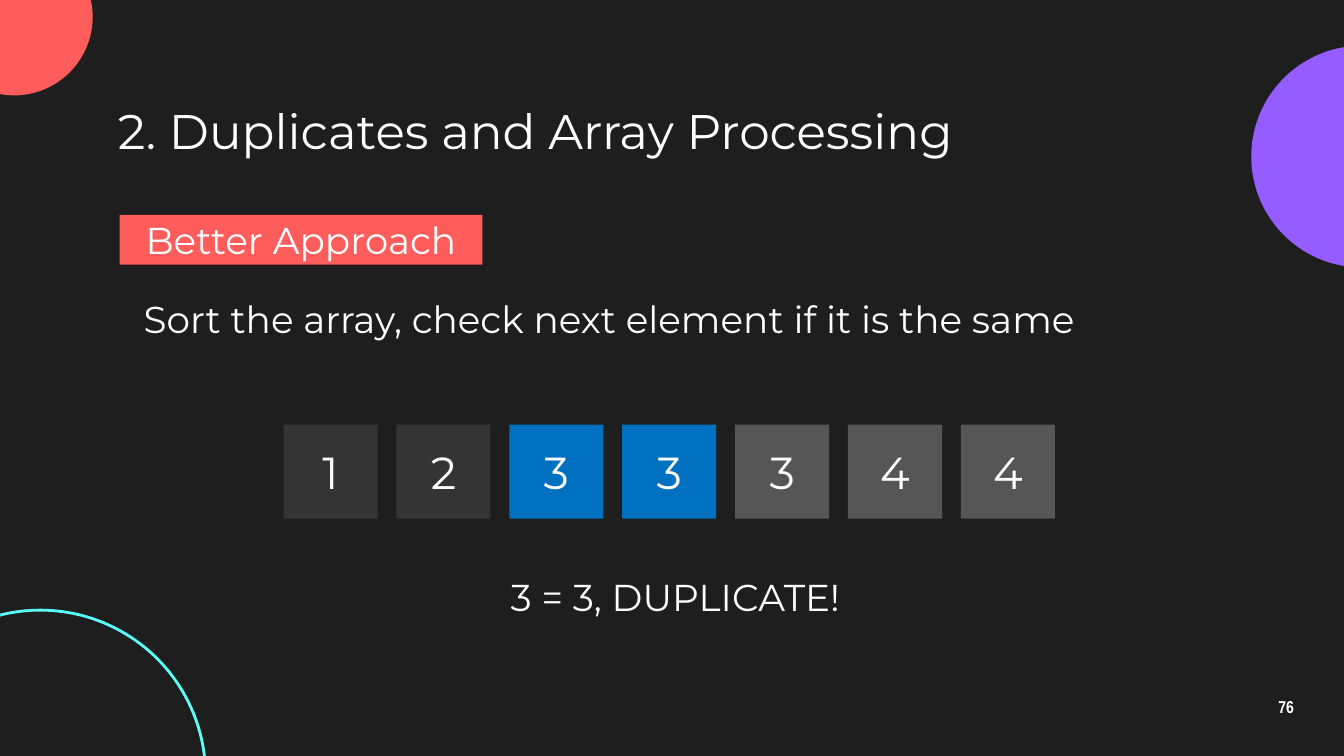
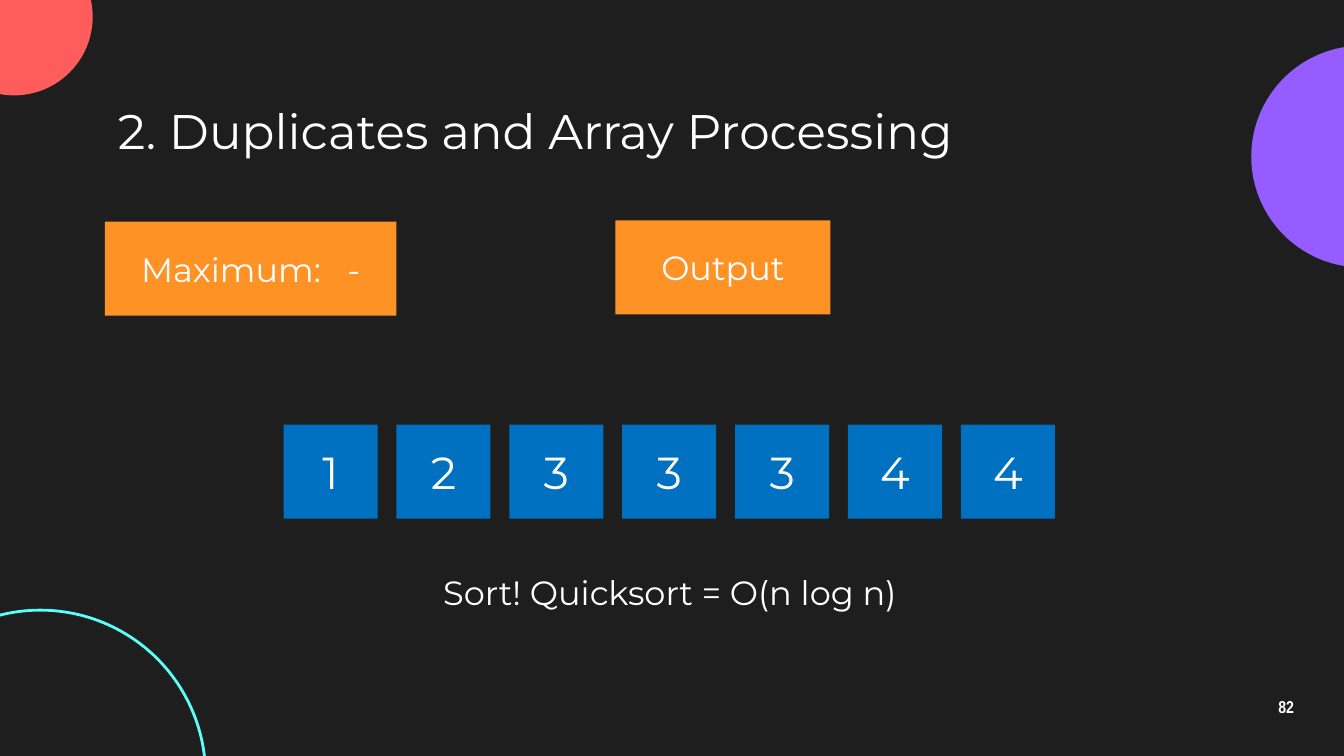
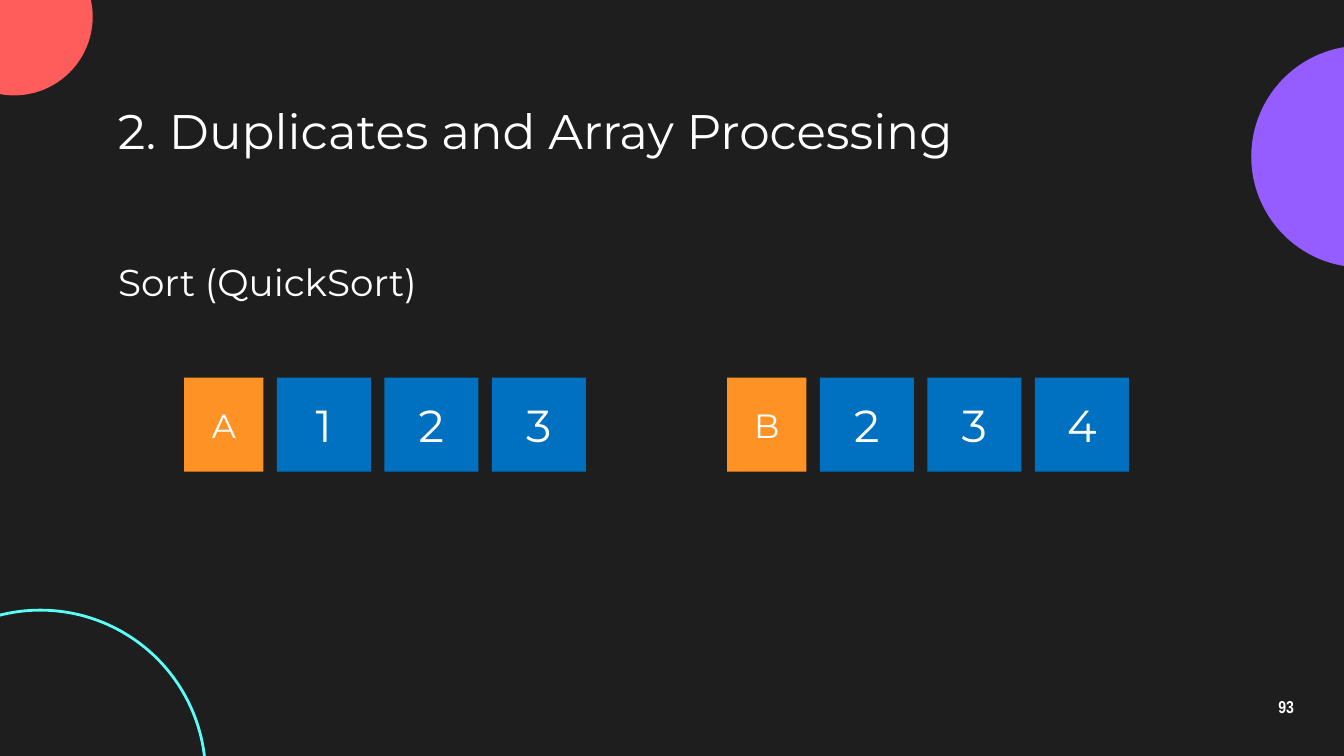
from pptx import Presentation
from pptx.dml.color import RGBColor
from pptx.enum.shapes import MSO_SHAPE
from pptx.enum.text import MSO_ANCHOR, PP_ALIGN
from pptx.util import Emu, Pt

SCALE = 9144
BACK, WHITE = "1E1E1E", "FFFFFF"
CORAL, VIOLET, AQUA = "FF5C5C", "955CFF", "5CFFF8"
BLUE, ORANGE, DARK, GREY = "0070C0", "FF9225", "343434", "565656"
SANS, NARROW = "Montserrat", "Arial Narrow"
LEFT, MID = PP_ALIGN.LEFT, PP_ALIGN.CENTER
TITLE = "2. Duplicates and Array Processing"
CELL = 70
ITEMS = "1233344"


def px(*sizes):
    return [Emu(size * SCALE) for size in sizes]


def color(code):
    return RGBColor.from_string(code)


def write(shape, runs, size, align=MID, font=SANS, bold=False, inset=5, anchor=MSO_ANCHOR.MIDDLE):
    frame = shape.text_frame
    frame.word_wrap = True
    frame.vertical_anchor = anchor
    frame.margin_left, frame.margin_right = px(10, 10)
    frame.margin_top, frame.margin_bottom = px(inset, inset)
    para = frame.paragraphs[0]
    para.alignment = align
    for text, space in runs:
        run = para.add_run()
        run.text = text
        run.font.size = Pt(size)
        run.font.name = font
        run.font.bold = bold
        run.font.color.rgb = color(WHITE)
        if space:
            run._r.get_or_add_rPr().set("spc", str(space))
    return para


def draw(slide, kind, box, fill=None, line=None):
    shape = slide.shapes.add_shape(kind, *px(*box))
    shape.shadow.inherit = False
    if fill:
        shape.fill.solid()
        shape.fill.fore_color.rgb = color(fill)
    else:
        shape.fill.background()
    if line:
        shape.line.color.rgb = color(line)
        shape.line.width = Pt(1.5)
    else:
        shape.line.fill.background()
    return shape


def block(slide, box, runs, size, fill):
    write(draw(slide, MSO_SHAPE.RECTANGLE, box, fill), runs, size)


def label(slide, box, text, size=20, align=LEFT, inset=10, anchor=MSO_ANCHOR.TOP, **style):
    shape = slide.shapes.add_textbox(*px(*box))
    return write(shape, [(text, 0)], size, align, inset=inset, anchor=anchor, **style)


def cells(slide, left, top, items, fills, step):
    for i, (item, fill) in enumerate(zip(items, fills)):
        block(slide, (left + i * step, top, CELL, CELL), [(item, 0)], 24, fill)


def group(slide, left, top, name, items):
    width, gap = 59, 10
    block(slide, (left, top, width, CELL), [(name, 0)], 18, ORANGE)
    cells(slide, left + width + gap, top, items, [BLUE] * len(items), CELL + gap)


def base(deck, number):
    slide = deck.slides.add_slide(deck.slide_layouts[6])
    for left, top, side, fill, line in [
        (931, 34, 165, VIOLET, None),
        (-48, -46, 117, CORAL, None),
        (-93, 454, 246, None, AQUA),
    ]:
        draw(slide, MSO_SHAPE.OVAL, (left, top, side, side), fill, line)
    para = label(slide, (927, 510, 60, 34), number, 9.2, MID,
                 anchor=MSO_ANCHOR.MIDDLE, font=NARROW, bold=True)
    para.line_spacing = 0.9
    label(slide, (78, 71, 844, 51), TITLE, 26, anchor=MSO_ANCHOR.MIDDLE)
    return slide


def better(deck):
    slide = base(deck, "76")
    block(slide, (89, 160, 270, 37), [("Better Approach", 0)], 20, CORAL)
    label(slide, (97, 210, 811, 51), "Sort the array, check next element if it is the same")
    fills = [DARK] * 2 + [BLUE] * 2 + [GREY] * 3
    cells(slide, 211, 316, ITEMS, fills, 84)
    label(slide, (97, 417, 811, 51), "3 = 3, DUPLICATE!", align=MID)


def output(deck):
    slide = base(deck, "82")
    cells(slide, 211, 316, ITEMS, [BLUE] * len(ITEMS), 84)
    block(slide, (78, 165, 217, CELL), [("Maximum:", 0), (" ", 940), ("-", 0)], 18, ORANGE)
    block(slide, (458, 164, 160, CELL), [("Output", 0)], 18, ORANGE)
    label(slide, (248, 421, 501, 40), "Sort! Quicksort = O(n log n)", 18, MID, inset=5)


def arrays(deck):
    slide = base(deck, "93")
    group(slide, 137, 281, "A", "123")
    group(slide, 541, 281, "B", "234")
    label(slide, (78, 183, 799, 51), "Sort (QuickSort)")


def main():
    deck = Presentation()
    deck.slide_width = px(1000)[0]
    deck.slide_height = Emu(deck.slide_width * 9 // 16)
    fill = deck.slide_master.background.fill
    fill.solid()
    fill.fore_color.rgb = color(BACK)
    for build in (better, output, arrays):
        build(deck)
    deck.save("out.pptx")


if __name__ == "__main__":
    main()
